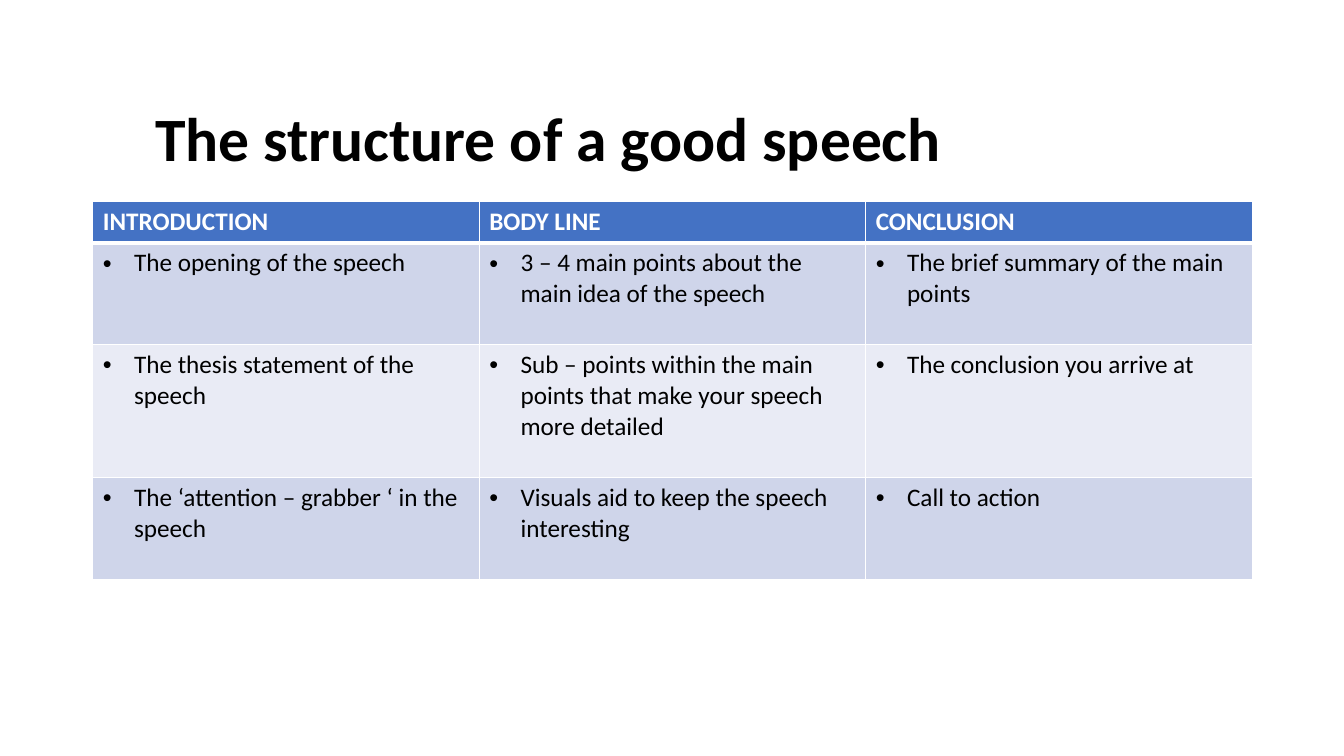
from dataclasses import dataclass

from lxml.etree import SubElement
from pptx import Presentation
from pptx.dml.color import RGBColor
from pptx.enum.text import MSO_ANCHOR
from pptx.oxml import parse_xml
from pptx.oxml.ns import nsdecls, qn
from pptx.util import Inches, Pt

FONT = "Calibri"
COLORS = {
    "title": "000000",
    "body": "000000",
    "header": "FFFFFF",
    "header_fill": "4472C4",
    "odd_fill": "CFD5EA",
    "even_fill": "E9EBF5",
    "border": "FFFFFF",
}
BULLET_INDENT = Inches(0.31)
THIN, THICK = 1, 3


@dataclass(frozen=True)
class SpeechRow:
    height: float
    fill: str
    texts: tuple[str, str, str]
    is_header: bool = False


SPEECH_ROWS = [
    SpeechRow(0.41, "header_fill", ("INTRODUCTION", "BODY LINE", "CONCLUSION"), True),
    SpeechRow(1.01, "odd_fill", (
        "The opening of the speech",
        "3 – 4 main points about the main idea of the speech",
        "The brief summary of the main points",
    )),
    SpeechRow(1.32, "even_fill", (
        "The thesis statement of the speech",
        "Sub – points within the main points that make your speech more detailed",
        "The conclusion you arrive at",
    )),
    SpeechRow(1.01, "odd_fill", (
        "The ‘attention – grabber ‘ in the speech",
        "Visuals aid to keep the speech interesting",
        "Call to action",
    )),
]


def style_font(paragraph, size: float, color: str, bold: bool) -> None:
    font = paragraph.font
    font.name, font.size, font.bold = FONT, Pt(size), bold
    font.color.rgb = RGBColor.from_string(COLORS[color])


def add_bullet(paragraph) -> None:
    properties = paragraph._p.get_or_add_pPr()
    properties.set("marL", str(BULLET_INDENT))
    properties.set("indent", str(-BULLET_INDENT))
    SubElement(properties, qn("a:buFont")).set("typeface", "Arial")
    SubElement(properties, qn("a:buChar")).set("char", "•")


def set_borders(cell, top: int, bottom: int) -> None:
    properties = cell._tc.get_or_add_tcPr()
    widths = {"lnL": THIN, "lnR": THIN, "lnT": top, "lnB": bottom}
    for position, (side, width) in enumerate(widths.items()):
        properties.insert(position, parse_xml(
            f'<a:{side} {nsdecls("a")} w="{Pt(width)}"><a:solidFill>'
            f'<a:srgbClr val="{COLORS["border"]}"/></a:solidFill></a:{side}>'
        ))


def add_title(slide, text: str) -> None:
    frame = slide.shapes.add_textbox(
        Inches(1.44), Inches(0.96), Inches(10.97), Inches(0.89)).text_frame
    frame.word_wrap = True
    frame.vertical_anchor = MSO_ANCHOR.MIDDLE
    heading = frame.paragraphs[0]
    heading.text = text
    heading.line_spacing = 0.9
    style_font(heading, 44, "title", True)


def add_speech_table(slide, rows: list[SpeechRow]) -> None:
    height = sum(row.height for row in rows)
    table = slide.shapes.add_table(
        len(rows), len(rows[0].texts),
        Inches(0.92), Inches(2), Inches(11.5), Inches(height)).table
    for r, row in enumerate(rows):
        table.rows[r].height = Inches(row.height)
        for c, text in enumerate(row.texts):
            cell = table.cell(r, c)
            cell.fill.solid()
            cell.fill.fore_color.rgb = RGBColor.from_string(COLORS[row.fill])
            # The heavy rule is shared by the header and the row below it
            set_borders(cell, THICK if r == 1 else THIN,
                        THICK if row.is_header else THIN)
            entry = cell.text_frame.paragraphs[0]
            entry.text = text
            if not row.is_header:
                add_bullet(entry)
            style_font(entry, 18, "header" if row.is_header else "body", row.is_header)


def main() -> None:
    prs = Presentation()
    prs.slide_width, prs.slide_height = Inches(13.33), Inches(7.5)
    slide = prs.slides.add_slide(prs.slide_layouts[6])

    # Heading
    add_title(slide, "The structure of a good speech")

    # Parts of a speech
    add_speech_table(slide, SPEECH_ROWS)

    prs.save("out.pptx")


if __name__ == "__main__":
    main()
